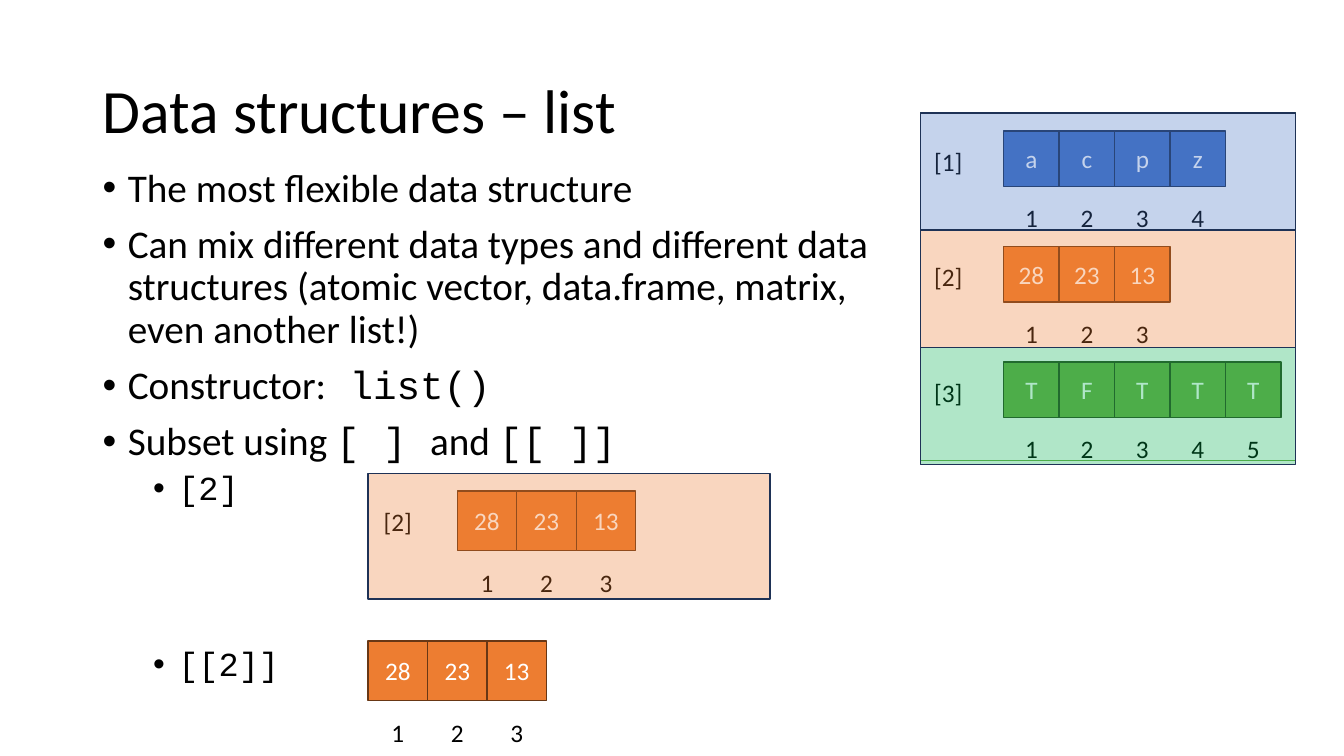
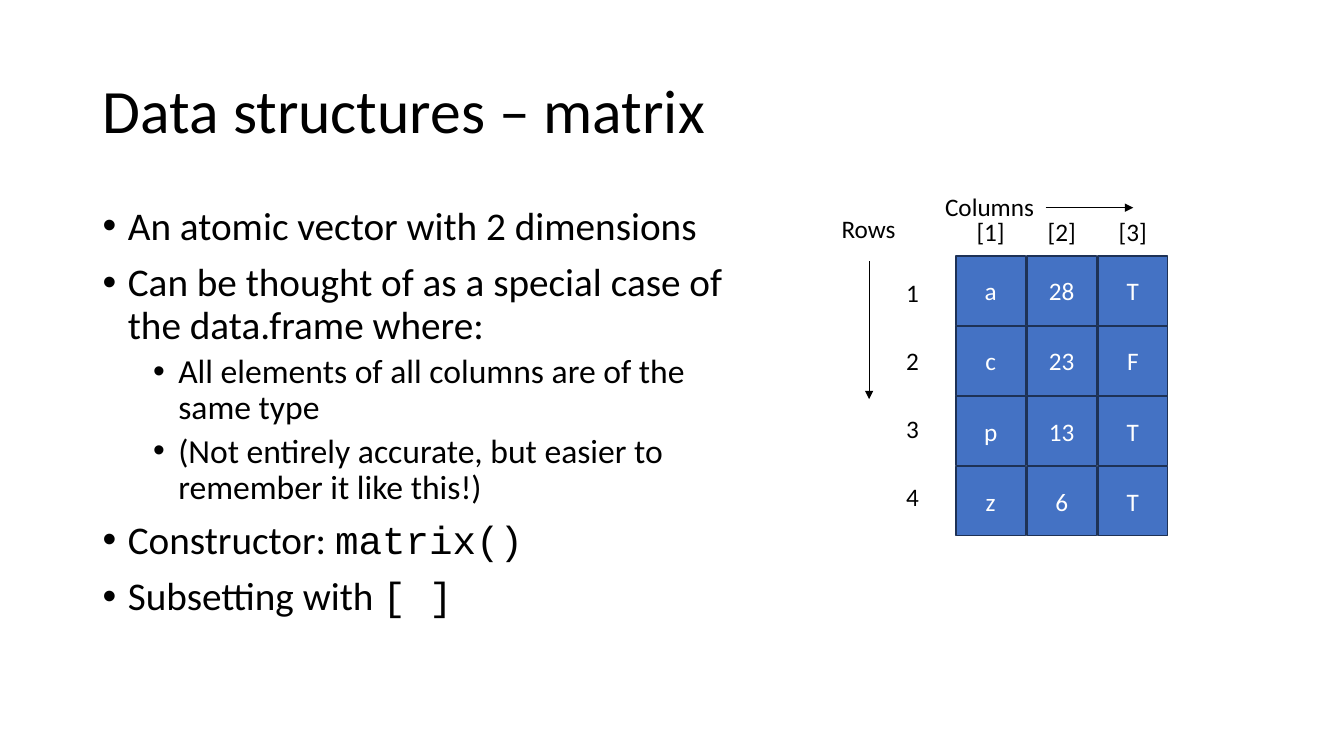
from dataclasses import dataclass

from lxml.etree import SubElement
from pptx import Presentation
from pptx.dml.color import RGBColor
from pptx.enum.shapes import MSO_CONNECTOR, MSO_SHAPE
from pptx.enum.text import MSO_ANCHOR, MSO_AUTO_SIZE, PP_ALIGN
from pptx.oxml.ns import qn
from pptx.util import Inches, Pt


@dataclass(frozen=True)
class Theme:
    sans: str = "Calibri"
    mono: str = "Courier New"
    ink: str = "000000"
    paper: str = "FFFFFF"
    blue: str = "4472C4"
    navy: str = "1E3256"
    orange: str = "ED7D31"
    brown: str = "683715"
    green: str = "70AD47"
    forest: str = "314C1F"
    emerald: str = "00B050"
    title: int = 44
    bullets: tuple = (28, 24)
    bullet_gaps: tuple = (10, 5)
    bullet_indents: tuple = (0.25, 0.75)
    label: int = 18
    outline: float = 1
    arrow: float = 0.5
    veil: int = 31


THEME = Theme()
SLIDE_SIZE = (13.33, 7.5)
TITLE_BOX = (0.92, 0.4, 11.5, 1.45)
LABEL_HEIGHT = 0.4


def code(text):
    return text, THEME.mono


LIST_TITLE = "Data structures – list"
LIST_BULLETS_BOX = (0.92, 1.62, 8.07, 5.48)
LIST_BULLETS = [
    (0, ["The most flexible data structure"]),
    (0, ["Can mix different data types and different data structures "
         "(atomic vector, data.frame, matrix, even another list!)"]),
    (0, ["Constructor:", code(" list()")]),
    (0, ["Subset using ", code("[ ] "), "and ", code("[[ ]]")]),
    (1, [code("[2]")]),
    (1, [code("[[2]]")], 100),
]
NUMBERS = ["28", "23", "13"]
LIST_ENTRIES = [
    ("[1]", ["a", "c", "p", "z"], THEME.blue, THEME.navy, THEME.blue),
    ("[2]", NUMBERS, THEME.orange, THEME.brown, THEME.orange),
    ("[3]", ["T", "F", "T", "T", "T"], THEME.green, THEME.forest, THEME.emerald),
]
LIST_LEFT, LIST_TOP, LIST_CELL = 9.13, 1.12, 0.55
PANEL_STEP, VECTOR_STEP = 1.165, 1.145
PANEL_COLUMNS, PANEL_ROWS = 6.76, 2.11
SUBSET_LEFT, SUBSET_TOP, SUBSET_CELL = 3.65, 4.7, 0.59
ELEMENT_TOP = 6.36

MATRIX_TITLE = "Data structures – matrix"
MATRIX_BULLETS_BOX = (0.92, 2, 6.48, 4.76)
MATRIX_BULLETS = [
    (0, ["An atomic vector with 2 dimensions"]),
    (0, ["Can be thought of as a special case of the data.frame where:"]),
    (1, ["All elements of all columns are of the same type"]),
    (1, ["(Not entirely accurate, but easier to remember it like this!)"]),
    (0, ["Constructor: ", code("matrix()")]),
    (0, ["Subsetting with ", code("[ ]")]),
]
MATRIX_COLUMNS = [
    ["a", "c", "p", "z"],
    ["28", "23", "13", "6"],
    ["T", "F", "T", "T"],
]
MATRIX_LEFT, MATRIX_TOP, MATRIX_CELL = 9.48, 2.54, 0.69
COLUMN_STEP, ROW_STEP, ROW_LABEL_STEP = 0.705, 0.695, 0.675
AXES = [
    ("Columns", (9.15, 1.85), (10.37, 2.06, 11.24, 2.06)),
    ("Rows", (7.95, 2.07), (8.62, 2.59, 8.62, 3.96)),
]
AXIS_WIDTH = 1.33


def inches(*lengths):
    return [Inches(length) for length in lengths]


def rgb(color):
    return RGBColor.from_string(color)


def write(paragraph, *runs, size=THEME.label, color=THEME.ink,
          align=PP_ALIGN.LEFT, spacing=1.0, before=0):
    paragraph.alignment = align
    paragraph.line_spacing = spacing
    paragraph.space_before = Pt(before)
    for part in runs:
        text, font = (part, THEME.sans) if isinstance(part, str) else part
        run = paragraph.add_run()
        run.text = text
        run.font.name = font
        run.font.size = Pt(size)
        run.font.color.rgb = rgb(color)


def add_label(slide, text, left, top, width):
    frame = slide.shapes.add_textbox(*inches(left, top, width, LABEL_HEIGHT)).text_frame
    frame.word_wrap = True
    frame.margin_left = frame.margin_right = 0
    write(frame.paragraphs[0], text, align=PP_ALIGN.CENTER)


def add_box(slide, left, top, width, height, fill, line, text="", opacity=100):
    box = slide.shapes.add_shape(MSO_SHAPE.RECTANGLE, *inches(left, top, width, height))
    box.shadow.inherit = False
    box.fill.solid()
    box.fill.fore_color.rgb = rgb(fill)
    box.line.color.rgb = rgb(line)
    box.line.width = Pt(THEME.outline)
    if opacity < 100:
        tint = box.fill._xPr.find(qn("a:solidFill"))[0]
        SubElement(tint, qn("a:alpha"), val=str(opacity * 1000))
    if text:
        frame = box.text_frame
        frame.vertical_anchor = MSO_ANCHOR.MIDDLE
        frame.margin_left = frame.margin_right = 0
        write(frame.paragraphs[0], text, color=THEME.paper, align=PP_ALIGN.CENTER)


def add_arrow(slide, ends):
    arrow = slide.shapes.add_connector(MSO_CONNECTOR.STRAIGHT, *inches(*ends))
    arrow.line.color.rgb = rgb(THEME.ink)
    arrow.line.width = Pt(THEME.arrow)
    SubElement(arrow.line._get_or_add_ln(), qn("a:tailEnd"), type="triangle")
    SubElement(arrow._element.spPr, qn("a:effectLst"))


def add_bullets(slide, box, items):
    frame = slide.shapes.add_textbox(*inches(*box)).text_frame
    frame.word_wrap = True
    for index, (level, runs, *gap) in enumerate(items):
        paragraph = frame.add_paragraph() if index else frame.paragraphs[0]
        paragraph.level = level
        write(paragraph, *runs, size=THEME.bullets[level], spacing=0.9,
              before=gap[0] if gap else THEME.bullet_gaps[level])
        properties = paragraph._p.get_or_add_pPr()
        properties.set("marL", str(Inches(THEME.bullet_indents[level])))
        properties.set("indent", str(-Inches(THEME.bullet_indents[0])))
        SubElement(properties, qn("a:buFont"), typeface="Arial")
        SubElement(properties, qn("a:buChar"), char="•")


def add_titled_slide(deck, text):
    slide = deck.slides.add_slide(deck.slide_layouts[5])
    title = slide.shapes.title
    title.left, title.top, title.width, title.height = inches(*TITLE_BOX)
    title.text_frame.auto_size = MSO_AUTO_SIZE.NONE
    title.text_frame.vertical_anchor = MSO_ANCHOR.MIDDLE
    write(title.text_frame.paragraphs[0], text, size=THEME.title, spacing=0.9)
    return slide


def add_vector(slide, left, top, cell, values, fill, line):
    for index, value in enumerate(values):
        x = left + index * cell
        add_box(slide, x, top, cell, cell, fill, line, value)
        add_label(slide, str(index + 1), x, top + 1.2 * cell, cell)


def add_entry(slide, left, top, vector_top, cell, entry):
    tag, values, fill, line, veil = entry
    add_vector(slide, left + 1.5 * cell, vector_top, cell, values, fill, line)
    add_label(slide, tag, left, vector_top + 0.1, cell)
    add_box(slide, left, top, PANEL_COLUMNS * cell, PANEL_ROWS * cell,
            veil, THEME.navy, opacity=THEME.veil)


def build_list(deck):
    slide = add_titled_slide(deck, LIST_TITLE)
    add_bullets(slide, LIST_BULLETS_BOX, LIST_BULLETS)
    add_box(slide, LIST_LEFT, LIST_TOP, PANEL_COLUMNS * LIST_CELL, 3.45,
            THEME.paper, THEME.green)
    for index, entry in enumerate(LIST_ENTRIES):
        add_entry(slide, LIST_LEFT, LIST_TOP + index * PANEL_STEP,
                  LIST_TOP + 0.18 + index * VECTOR_STEP, LIST_CELL, entry)
    second = LIST_ENTRIES[1]
    add_entry(slide, SUBSET_LEFT, SUBSET_TOP, SUBSET_TOP + 0.17, SUBSET_CELL, second)
    add_vector(slide, SUBSET_LEFT, ELEMENT_TOP, SUBSET_CELL, *second[1:4])


def build_matrix(deck):
    slide = add_titled_slide(deck, MATRIX_TITLE)
    add_bullets(slide, MATRIX_BULLETS_BOX, MATRIX_BULLETS)
    for column, values in enumerate(MATRIX_COLUMNS):
        x = MATRIX_LEFT + column * COLUMN_STEP
        add_label(slide, f"[{column + 1}]", x, 2.1, MATRIX_CELL)
        for row, value in enumerate(values):
            add_box(slide, x, MATRIX_TOP + row * ROW_STEP, MATRIX_CELL, MATRIX_CELL,
                    THEME.blue, THEME.navy, value)
    for row in range(len(MATRIX_COLUMNS[0])):
        add_label(slide, str(row + 1), 8.86, 2.7 + row * ROW_LABEL_STEP, 0.38)
    for name, corner, ends in AXES:
        add_label(slide, name, *corner, AXIS_WIDTH)
        add_arrow(slide, ends)


def main():
    deck = Presentation()
    deck.slide_width, deck.slide_height = inches(*SLIDE_SIZE)
    build_list(deck)
    build_matrix(deck)
    deck.save("out.pptx")


if __name__ == "__main__":
    main()
